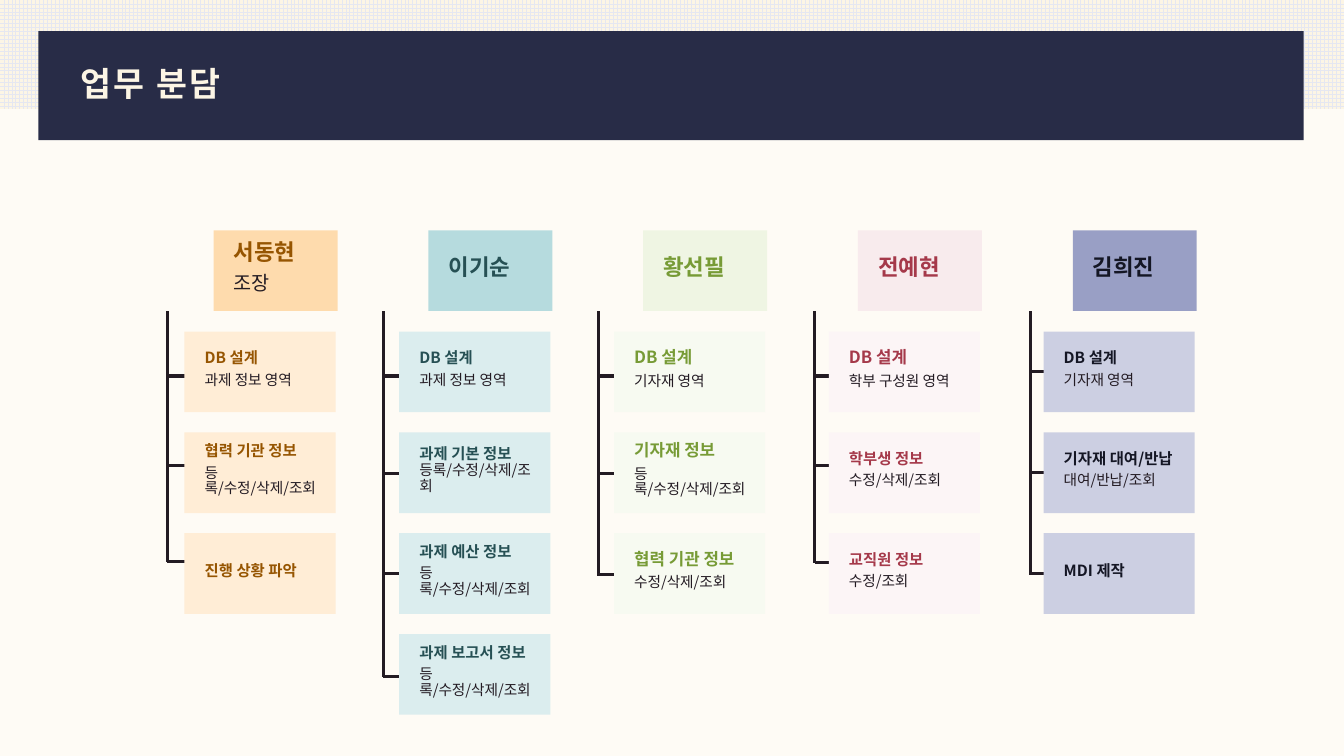
from lxml.etree import SubElement
from pptx import Presentation
from pptx.dml.color import RGBColor as RGB
from pptx.enum.dml import MSO_PATTERN as Pattern
from pptx.enum.shapes import MSO_CONNECTOR as Link, MSO_SHAPE as Shape
from pptx.enum.text import MSO_ANCHOR as Anchor, MSO_AUTO_SIZE as Auto, PP_ALIGN as Align
from pptx.oxml.ns import qn
from pptx.util import Inches, Pt

FACE = "Noto Sans CJK KR"
PAPER = RGB(0xFE, 0xFB, 0xF5)
CREAM = RGB(0xFC, 0xF5, 0xE5)
MIST = RGB(0xE5, 0xE7, 0xF1)
NAVY = RGB(0x28, 0x2C, 0x47)
INK = RGB(0x23, 0x1B, 0x23)
BROWN, PEACH, APRICOT = RGB(0x96, 0x55, 0x01), RGB(0xFE, 0xDB, 0xAD), RGB(0xFF, 0xED, 0xD6)
TEAL, AQUA, ICE = RGB(0x26, 0x50, 0x54), RGB(0xB6, 0xDB, 0xDE), RGB(0xDB, 0xED, 0xEE)
GREEN, LIME, MINT = RGB(0x77, 0x9B, 0x36), RGB(0xEF, 0xF5, 0xE3), RGB(0xF7, 0xFA, 0xF1)
RED, ROSE, BLUSH = RGB(0xA5, 0x39, 0x4A), RGB(0xF8, 0xEB, 0xED), RGB(0xFC, 0xF5, 0xF6)
NIGHT, VIOLET, LILAC = RGB(0x14, 0x16, 0x24), RGB(0x99, 0x9F, 0xC5), RGB(0xCC, 0xCF, 0xE2)

# Column grid, in inches
PITCH, STEP = 2.13, 1.0
HEAD_X, TASK_X, TRUNK_X = 2.12, 1.83, 1.66
HEAD_Y, TASK_Y, TRUNK_Y = 2.285, 3.29, 3.09
HEAD_W, TASK_W, BOX_H, TICK = 1.23, 1.5, 0.8, 0.3

CRUD = "등록/수정/삭제/조회"
# name, role, text colour, head fill, task fill, task title size, tick heights, tasks
TEAM = [
    ("서동현", "조장", BROWN, PEACH, APRICOT, 11, (3.73, 4.62, 5.57),
     [("DB 설계", "과제 정보 영역"), ("협력 기관 정보", CRUD), ("진행 상황 파악", "")]),
    ("이기순", "", TEAL, AQUA, ICE, 11, (3.73, 4.7, 5.69, 6.71),
     [("DB 설계", "과제 정보 영역"), ("과제 기본 정보 ", CRUD),
      ("과제 예산 정보", CRUD), ("과제 보고서 정보", CRUD)]),
    ("황선필", "", GREEN, LIME, MINT, 12, (3.73, 4.7, 5.7),
     [("DB 설계", "기자재 영역"), ("기자재 정보", CRUD), ("협력 기관 정보", "수정/삭제/조회")]),
    ("전예현", "", RED, ROSE, BLUSH, 11, (3.73, 4.62, 5.58),
     [("DB 설계", "학부 구성원 영역"), ("학부생 정보", "수정/삭제/조회"),
      ("교직원 정보", "수정/조회")]),
    ("김희진", "", NIGHT, VIOLET, LILAC, 11, (3.69, 4.69, 5.69),
     [("DB 설계", "기자재 영역"), ("기자재 대여/반납", "대여/반납/조회"), ("MDI 제작", "")]),
]

deck = Presentation()
deck.slide_width, deck.slide_height = Inches(13.33), Inches(7.5)
slide = deck.slides.add_slide(deck.slide_layouts[5])
slide.background.fill.solid()
slide.background.fill.fore_color.rgb = PAPER
shapes = slide.shapes


def style(font, size, color, bold):
    """Set a font, its East Asian face included."""
    font.name, font.size, font.bold = FACE, Pt(size), bold
    font.color.rgb = color
    SubElement(font._element, qn("a:ea"), typeface=FACE)


def block(x, y, w, h, fill, lines=()):
    """Draw a plain rectangle; lines holds (text, size, colour, bold)."""
    box = shapes.add_shape(Shape.RECTANGLE, Inches(x), Inches(y), Inches(w), Inches(h))
    box.shadow.inherit = False
    box.line.fill.background()
    box.fill.solid()
    box.fill.fore_color.rgb = fill
    frame = box.text_frame
    frame.word_wrap, frame.vertical_anchor = True, Anchor.MIDDLE
    frame.margin_left, frame.margin_right = Inches(0.2), Inches(0.1)
    frame.margin_top, frame.margin_bottom = Inches(0.01), Inches(0.06)
    para = frame.paragraphs[0]
    for i, (text, size, color, bold) in enumerate(lines):
        # A title that ends in a space shares its paragraph with the detail
        if i and not lines[i - 1][0].endswith(" "):
            para = frame.add_paragraph()
        para.alignment, para.line_spacing = Align.LEFT, 0.9
        para.space_after = Pt(0.35 * size)
        run = para.add_run()
        run.text = text
        style(run.font, size, color, bold)
    return box


band = block(0, 0, 13.33, 1.08, CREAM)
band.fill.patterned()
band.fill.pattern = Pattern.LARGE_GRID
band.fill.fore_color.rgb, band.fill.back_color.rgb = MIST, CREAM
block(0.38, 0.31, 12.55, 1.08, NAVY)

title = shapes.title
shapes._spTree.append(title._element)
title.left, title.top = Inches(0.7), Inches(0.53)
title.width, title.height = Inches(11.93), Inches(0.64)
title.text_frame.text = "업무 분담"
title.text_frame.auto_size = Auto.NONE
title.text_frame.vertical_anchor = Anchor.MIDDLE
para = title.text_frame.paragraphs[0]
para.alignment, para.line_spacing = Align.LEFT, 0.9
style(para.runs[0].font, 24, CREAM, True)
para.runs[0].font._element.set("spc", "150")

for col, (name, role, color, dark, light, size, ticks, tasks) in enumerate(TEAM):
    left = col * PITCH
    trunk = TRUNK_X + col * 2.14
    lines = [(trunk, TRUNK_Y, trunk, ticks[-1] + 0.01)]
    lines += [(trunk, y, trunk + TICK, y) for y in ticks]
    for ends in lines:
        line = shapes.add_connector(Link.STRAIGHT, *map(Inches, ends))
        line.line.color.rgb, line.line.width = INK, Pt(2.25)
        SubElement(line._element.spPr, qn("a:effectLst"))

    head = [(name, 16, color, True)] + ([(role, 14, INK, False)] if role else [])
    block(HEAD_X + left, HEAD_Y, HEAD_W, BOX_H, dark, head)
    for row, (task, detail) in enumerate(tasks):
        big = 12 if color == RED and row == 0 else size
        text = [(task, big, color, True)] + ([(detail, 10.5, INK, False)] if detail else [])
        block(TASK_X + left, TASK_Y + row * STEP, TASK_W, BOX_H, light, text)

deck.save("out.pptx")
